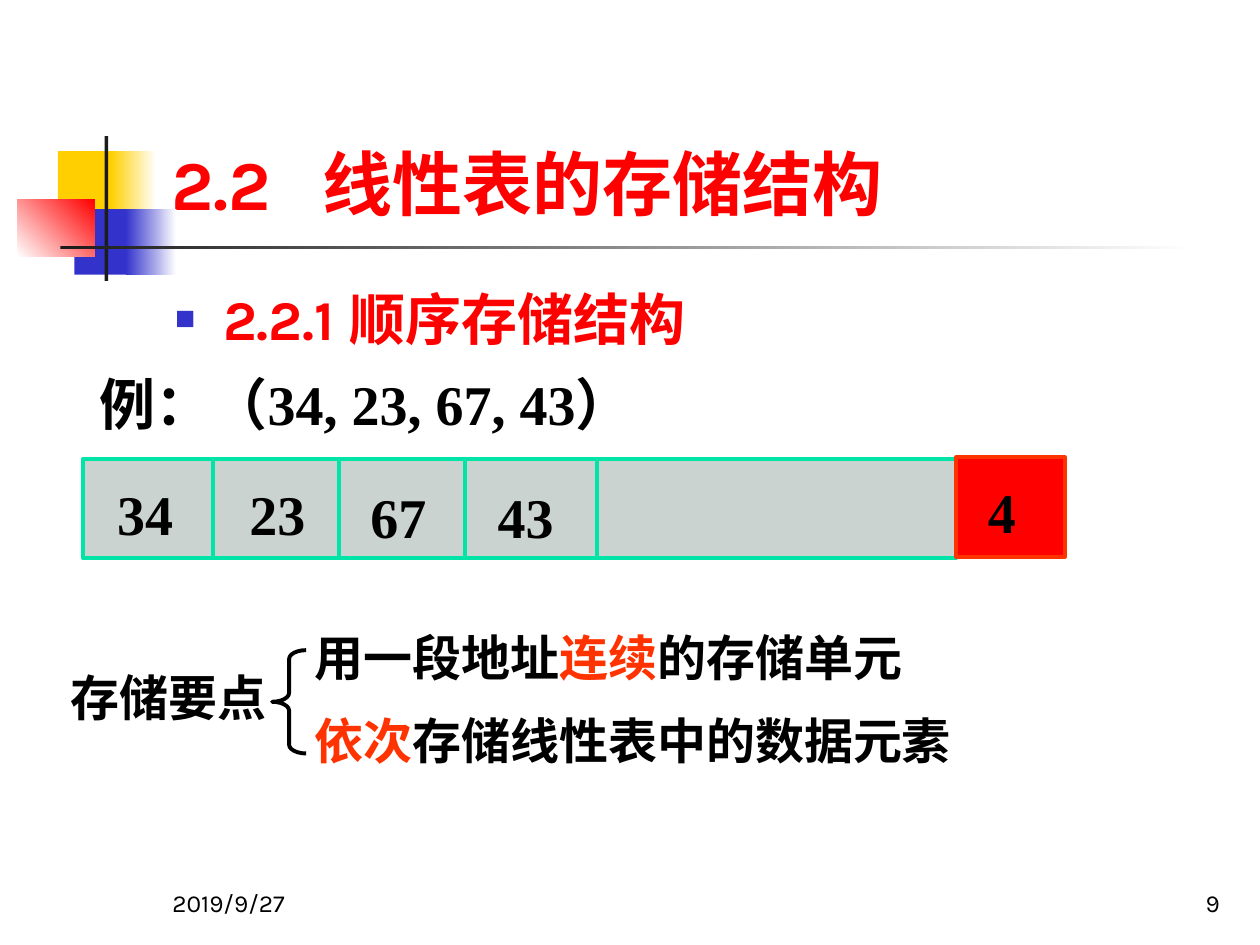
from dataclasses import dataclass
from typing import Optional

from lxml import etree
from pptx import Presentation
from pptx.dml.color import RGBColor
from pptx.enum.shapes import MSO_CONNECTOR, MSO_SHAPE
from pptx.enum.text import MSO_ANCHOR, MSO_AUTO_SIZE, PP_ALIGN
from pptx.oxml.ns import qn
from pptx.util import Inches, Pt

RECTANGLE, BRACE = MSO_SHAPE.RECTANGLE, MSO_SHAPE.LEFT_BRACE
STRAIGHT = MSO_CONNECTOR.STRAIGHT
TOP, BOTTOM = MSO_ANCHOR.TOP, MSO_ANCHOR.BOTTOM
LEFT, RIGHT = PP_ALIGN.LEFT, PP_ALIGN.RIGHT
NO_AUTOFIT = MSO_AUTO_SIZE.NONE

COLORS = {
    "yellow": "FFCF01",
    "blue": "3333CC",
    "red": "FF0000",
    "orange": "FF3300",
    "white": "FFFFFF",
    "charcoal": "1C1C1C",
    "black": "000000",
    "cell": "CBD3D1",
    "border": "00E4A8",
}
SANS, SERIF, ARIAL = "Karla", "Times New Roman", "Arial"


@dataclass(frozen=True)
class Box:
    left: float
    top: float
    width: float
    height: float

    def lengths(self) -> tuple:
        return tuple(Inches(n) for n in (self.left, self.top, self.width, self.height))


@dataclass(frozen=True)
class Block:
    box: Box
    start: str
    end: Optional[str] = None
    angle: float = 0


@dataclass(frozen=True)
class Label:
    box: Box
    lines: tuple
    face: str
    size: float
    bold: bool = True
    align: PP_ALIGN = LEFT
    anchor: MSO_ANCHOR = TOP
    insets: tuple = (0.1, 0.1)
    wrap: bool = True
    gap: float = 0


def rgb(color: str) -> RGBColor:
    return RGBColor.from_string(COLORS[color])


def set_font(paragraph, face: str, size: float, bold: bool, color: Optional[str] = None) -> None:
    font = paragraph.font
    font.name, font.size, font.bold = face, Pt(size), bold
    if color:
        font.color.rgb = rgb(color)


def draw_block(slide, block: Block) -> None:
    shape = slide.shapes.add_shape(RECTANGLE, *block.box.lengths())
    shape.shadow.inherit = False
    shape.line.fill.background()
    if block.end is None:
        shape.fill.solid()
        shape.fill.fore_color.rgb = rgb(block.start)
        return
    shape.fill.gradient()
    shape.fill.gradient_angle = block.angle
    for stop, color in zip(shape.fill.gradient_stops, (block.start, block.end)):
        stop.color.rgb = rgb(color)


def draw_outlined(slide, preset: MSO_SHAPE, box: Box, line: str, fill: Optional[str] = None):
    shape = slide.shapes.add_shape(preset, *box.lengths())
    shape.shadow.inherit = False
    shape.line.color.rgb = rgb(line)
    shape.line.width = Pt(2.25)
    if fill:
        shape.fill.solid()
        shape.fill.fore_color.rgb = rgb(fill)
    else:
        shape.fill.background()
    return shape


def draw_divider(slide, x: float, top: float, bottom: float) -> None:
    divider = slide.shapes.add_connector(STRAIGHT, Inches(x), Inches(top), Inches(x), Inches(bottom))
    divider.line.color.rgb = rgb("border")
    divider.line.width = Pt(2.25)
    etree.SubElement(divider._element.spPr, qn("a:effectLst"))


def draw_label(slide, label: Label) -> None:
    frame = slide.shapes.add_textbox(*label.box.lengths()).text_frame
    frame.word_wrap = label.wrap
    frame.vertical_anchor = label.anchor
    frame.margin_left, frame.margin_right = (Inches(n) for n in label.insets)
    for index, line in enumerate(label.lines):
        paragraph = frame.add_paragraph() if index else frame.paragraphs[0]
        paragraph.alignment = label.align
        if index:
            paragraph.space_before = Pt(label.gap)
        same_color = len(line) == 1
        set_font(paragraph, label.face, label.size, label.bold, line[0][1] if same_color else None)
        for text, color in line:
            run = paragraph.add_run()
            run.text = text
            if not same_color:
                run.font.color.rgb = rgb(color)


def place_placeholder(placeholder, box: Box, text: str, anchor: MSO_ANCHOR):
    placeholder.left, placeholder.top, placeholder.width, placeholder.height = box.lengths()
    frame = placeholder.text_frame
    frame.text = text
    frame.auto_size = NO_AUTOFIT
    frame.vertical_anchor = anchor
    paragraph = frame.paragraphs[0]
    paragraph.alignment = LEFT
    paragraph.space_before = Pt(0)
    return paragraph


def add_tab(paragraph, position: float) -> None:
    tabs = etree.SubElement(paragraph._p.get_or_add_pPr(), qn("a:tabLst"))
    etree.SubElement(tabs, qn("a:tab"), pos=str(Inches(position)), algn="l")


def add_bullet(paragraph, indent: float) -> None:
    properties = paragraph._p.get_or_add_pPr()
    properties.set("marL", str(Inches(indent)))
    properties.set("indent", str(-Inches(indent)))
    color = etree.SubElement(properties, qn("a:buClr"))
    etree.SubElement(color, qn("a:srgbClr"), val=COLORS["blue"])
    etree.SubElement(properties, qn("a:buSzPct"), val="60000")
    etree.SubElement(properties, qn("a:buFont"), typeface=ARIAL)
    etree.SubElement(properties, qn("a:buChar"), char="■")


ORNAMENT = (
    Block(Box(0.46, 1.2, 0.48, 0.52), "yellow"),
    Block(Box(0.88, 1.2, 0.36, 0.52), "yellow", "white"),
    Block(Box(0.59, 1.66, 0.46, 0.52), "blue"),
    Block(Box(1, 1.66, 0.4, 0.52), "blue", "white"),
    Block(Box(0.14, 1.58, 0.61, 0.46), "white", "red", 45),
    Block(Box(0.83, 1.08, 0.03, 1.15), "charcoal"),
    Block(Box(0.48, 1.95, 9, 0.03), "charcoal", "white"),
)
ARRAY = Box(0.66, 3.64, 6.93, 0.79)
DIVIDERS = (1.69, 2.69, 3.69, 4.74)
VALUES = (("34", 0.93, 3.76), ("23", 1.98, 3.76), ("67", 2.94, 3.78), ("43", 3.95, 3.78))
LENGTH_CELL = Box(7.59, 3.63, 0.86, 0.79)
KEY_POINTS = (
    (("用一段地址", "black"), ("连续", "orange"), ("的存储单元", "black")),
    (("依次", "orange"), ("存储线性表中的数据元素", "black")),
)
LABELS = (
    Label(Box(1.27, 6.83, 2.08, 0.5), ((("2019/9/27", "black"),),), SANS, 14, bold=False, anchor=BOTTOM),
    Label(Box(7.7, 6.83, 2.08, 0.5), ((("9", "black"),),), SANS, 14, bold=False, align=RIGHT, anchor=BOTTOM),
    Label(Box(0.46, 5.25, 1.76, 0.57), ((("存储要点", "black"),),), ARIAL, 28, wrap=False),
    Label(Box(2.4, 4.93, 6.41, 1.23), KEY_POINTS, ARIAL, 28, gap=14),
    Label(Box(0.69, 2.88, 5.4, 0.63), ((("例：（34, 23, 67, 43）", "black"),),), SERIF, 32, insets=(0.1, 0)),
)


def main() -> None:
    deck = Presentation()
    deck.slide_width, deck.slide_height = Inches(10), Inches(7.5)
    slide = deck.slides.add_slide(deck.slide_layouts[1])

    for block in ORNAMENT:
        draw_block(slide, block)

    title = place_placeholder(slide.shapes.title, Box(1.26, 0.23, 8.52, 1.6), "2.2\t线性表的存储结构", BOTTOM)
    add_tab(title, 1.2)
    set_font(title, SANS, 40, True, "red")
    section = place_placeholder(slide.placeholders[1], Box(1.29, 2.21, 8.5, 4.5), "2.2.1 顺序存储结构", TOP)
    add_bullet(section, 0.38)
    set_font(section, SANS, 32, True, "red")

    draw_outlined(slide, RECTANGLE, ARRAY, "border", "cell")
    for x in DIVIDERS:
        draw_divider(slide, x, ARRAY.top, ARRAY.top + ARRAY.height)
    for value, left, top in VALUES:
        draw_label(slide, Label(Box(left, top, 0.53, 0.63), (((value, "black"),),), SERIF, 32, insets=(0, 0)))

    length_frame = draw_outlined(slide, RECTANGLE, LENGTH_CELL, "orange", "red").text_frame
    length_frame.text = "4"
    length_frame.vertical_anchor = TOP
    length_frame.margin_left, length_frame.margin_top = Inches(0.25), Inches(0.16)
    length_frame.paragraphs[0].alignment = LEFT
    set_font(length_frame.paragraphs[0], SERIF, 32, True, "black")

    brace = draw_outlined(slide, BRACE, Box(2.16, 5.16, 0.27, 0.82), "black")
    brace.adjustments[0], brace.adjustments[1] = 0.26, 0.5
    for label in LABELS:
        draw_label(slide, label)

    deck.save("out.pptx")


if __name__ == "__main__":
    main()
